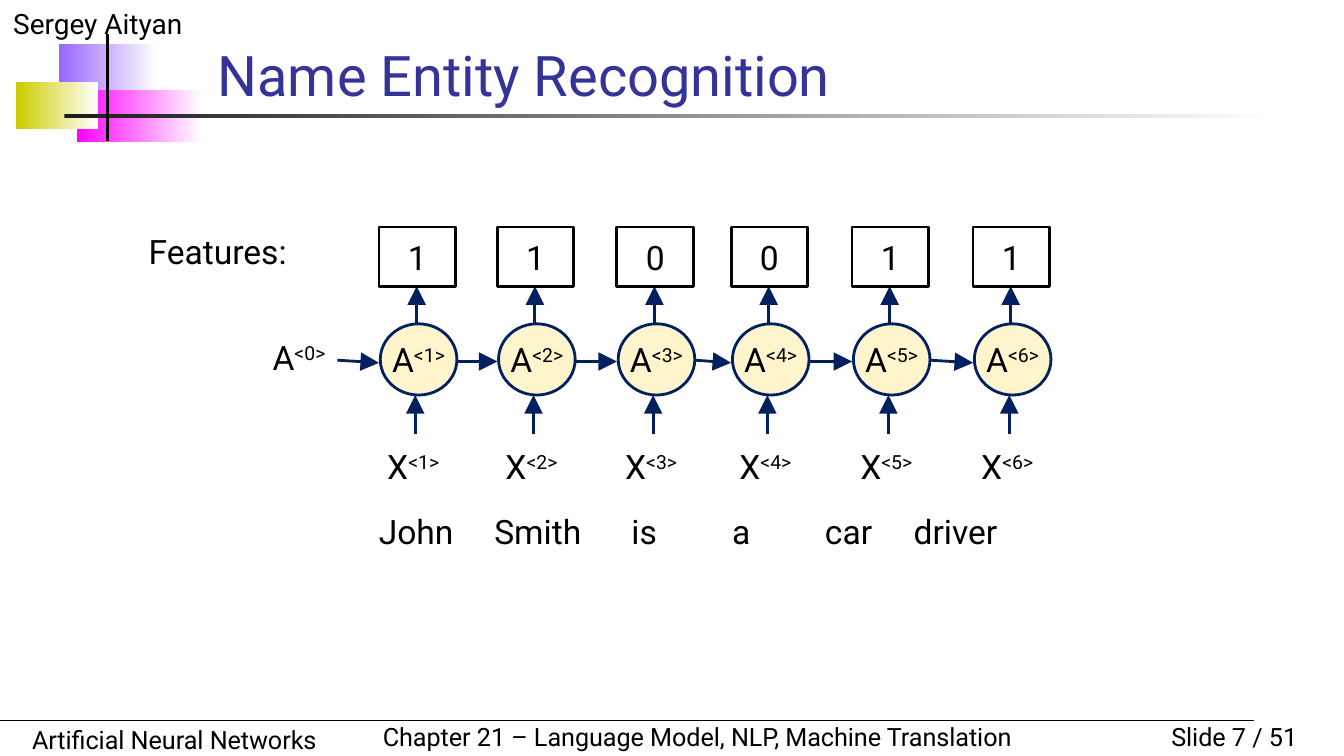
"""Build the Name Entity Recognition slide with its recurrent network diagram."""
from lxml import etree
from pptx import Presentation
from pptx.dml.color import RGBColor
from pptx.enum import shapes, text
from pptx.oxml import ns
from pptx.util import Inches, Pt

BLACK = RGBColor(0x00, 0x00, 0x00)
WHITE = RGBColor(0xFF, 0xFF, 0xFF)
NAVY = RGBColor(0x00, 0x20, 0x60)
CREAM = RGBColor(0xFF, 0xF5, 0xCC)
TITLE_BLUE = RGBColor(0x33, 0x33, 0x99)
PURPLE = RGBColor(0x99, 0x66, 0xFF)
MAGENTA = RGBColor(0xFF, 0x00, 0xFF)
OLIVE = RGBColor(0xCC, 0xCC, 0x00)
CHARCOAL = RGBColor(0x1C, 0x1C, 0x1C)

prs = Presentation()
prs.slide_width = Inches(10)
prs.slide_height = prs.slide_width * 9 // 16
s = prs.slides.add_slide(prs.slide_layouts[5])


def add_line(x1, y1, x2, y2, color, width, arrow=False):
    cx = s.shapes.add_connector(shapes.MSO_CONNECTOR.STRAIGHT,
                                Inches(x1), Inches(y1), Inches(x2), Inches(y2))
    cx.line.color.rgb = color
    cx.line.width = Pt(width)
    if arrow:
        etree.SubElement(cx.line._get_or_add_ln(), ns.qn("a:tailEnd"),
                         type="triangle", w="lg", len="lg")
    etree.SubElement(cx._element.spPr, ns.qn("a:effectLst"))


def write(sp, words, size=18, color=BLACK, sup="", centered=False):
    tf = sp.text_frame
    tf.word_wrap = not centered
    p = tf.paragraphs[0]
    p.alignment = text.PP_ALIGN.LEFT
    if centered:
        tf.margin_left = tf.margin_right = tf.margin_top = tf.margin_bottom = 0
        tf.vertical_anchor = text.MSO_ANCHOR.MIDDLE
        p.alignment = text.PP_ALIGN.CENTER
    for part in filter(None, (words, sup)):
        r = p.add_run()
        r.text = part
        r.font.name = "Roboto"
        r.font.size = Pt(size)
        r.font.color.rgb = color
        if part == sup:
            r._r.get_or_add_rPr().set("baseline", "30000")
    return p


for color, *box in [(PURPLE, 0.44, 0.33, 0.73, 0.39), (MAGENTA, 0.57, 0.67, 0.93, 0.39),
                    (OLIVE, 0.12, 0.61, 0.61, 0.35), (CHARCOAL, 0.48, 0.85, 9, 0.03)]:
    sp = s.shapes.add_shape(shapes.MSO_SHAPE.RECTANGLE, *map(Inches, box))
    sp.shadow.inherit = False
    sp.line.fill.background()
    sp.fill.gradient()
    sp.fill.gradient_angle = 0
    for stop, stop_color in zip(sp.fill.gradient_stops, (color, WHITE)):
        stop.color.rgb = stop_color

for words, size, align, *box in [
        ("Sergey Aityan", 15, text.PP_ALIGN.LEFT, 0, 0, 2.5, 0.35),
        ("Slide 7 / 51", 13.5, text.PP_ALIGN.RIGHT, 8.25, 5.32, 1.5, 0.33),
        ("Artificial Neural Networks", 13.5, text.PP_ALIGN.LEFT, 0.14, 5.34, 3.7, 0.33),
        ("Chapter 21 – Language Model, NLP, Machine Translation", 13.5,
         text.PP_ALIGN.LEFT, 2.75, 5.32, 4.91, 0.33)]:
    write(s.shapes.add_textbox(*map(Inches, box)), words, size).alignment = align

add_line(-0.17, 5.36, 9.33, 5.36, BLACK, 0.75)
add_line(0.8, 0.25, 0.8, 1.05, BLACK, 2)

title = s.shapes.title
title.left, title.top, title.width, title.height = map(Inches, (1.52, 0.31, 7.35, 0.54))
title.text_frame.vertical_anchor = text.MSO_ANCHOR.BOTTOM
title.text_frame.auto_size = text.MSO_AUTO_SIZE.NONE
write(title, "Name Entity Recognition", 30, TITLE_BLUE)

SIDE, BOX_H, CIRCLE_H = 0.57, 0.44, 0.53
BOX_Y, CIRCLE_Y, INPUT_Y = 1.69, 2.41, 3.25
lefts = [1.94, 2.83, 3.71, 4.6, 5.45, 6.35, 7.25]
dips = [0.01, 0, 0, 0.01, 0, 0.01]
for start, end, dip in zip(lefts, lefts[1:], dips):
    add_line(start + SIDE, 2.69 - dip, end - 0.01, 2.69 + dip, NAVY, 1.5, arrow=True)

for step, (x, feature) in enumerate(zip(lefts[1:], "110011"), 1):
    add_line(x + 0.27, CIRCLE_Y, x + 0.27, BOX_Y + BOX_H, NAVY, 1.5, arrow=True)
    add_line(x + 0.26, 3.23, x + 0.26, CIRCLE_Y + CIRCLE_H, NAVY, 1.5, arrow=True)

    state = s.shapes.add_shape(shapes.MSO_SHAPE.OVAL, Inches(x), Inches(CIRCLE_Y),
                               Inches(SIDE), Inches(CIRCLE_H))
    state.fill.solid()
    state.fill.fore_color.rgb = CREAM
    state.line.color.rgb = NAVY
    write(state, "A", sup=f"<{step}>", centered=True)

    output = s.shapes.add_shape(shapes.MSO_SHAPE.RECTANGLE, Inches(x - 0.01), Inches(BOX_Y),
                                Inches(SIDE), Inches(BOX_H))
    output.fill.background()
    output.line.color.rgb = BLACK
    write(output, feature, centered=True)
    for sp in (state, output):
        sp.shadow.inherit = False
        sp.line.width = Pt(1.5)

    sp = s.shapes.add_textbox(Inches(x - 0.04), Inches(INPUT_Y), Inches(SIDE), Inches(BOX_H))
    write(sp, "X", sup=f"<{step}>", centered=True)

for words, sup, x, y, width in [("A", "<0>", 1.94, 2.44, SIDE),
                                ("Features:", "", 1.02, 1.65, 1.2)]:
    sp = s.shapes.add_textbox(Inches(x), Inches(y), Inches(width), Inches(BOX_H))
    write(sp, words, sup=sup, centered=True)

sentence = s.shapes.add_textbox(Inches(2.72), Inches(3.75), Inches(5.73), Inches(0.4))
p = write(sentence, "John\tSmith\tis\ta\tcar\tdriver")
tabs = etree.SubElement(p._p.get_or_add_pPr(), ns.qn("a:tabLst"))
for pos in (0.86, 1.88, 2.63, 3.32, 3.98):
    etree.SubElement(tabs, ns.qn("a:tab"), pos=str(Inches(pos)), algn="l")

prs.save("out.pptx")
